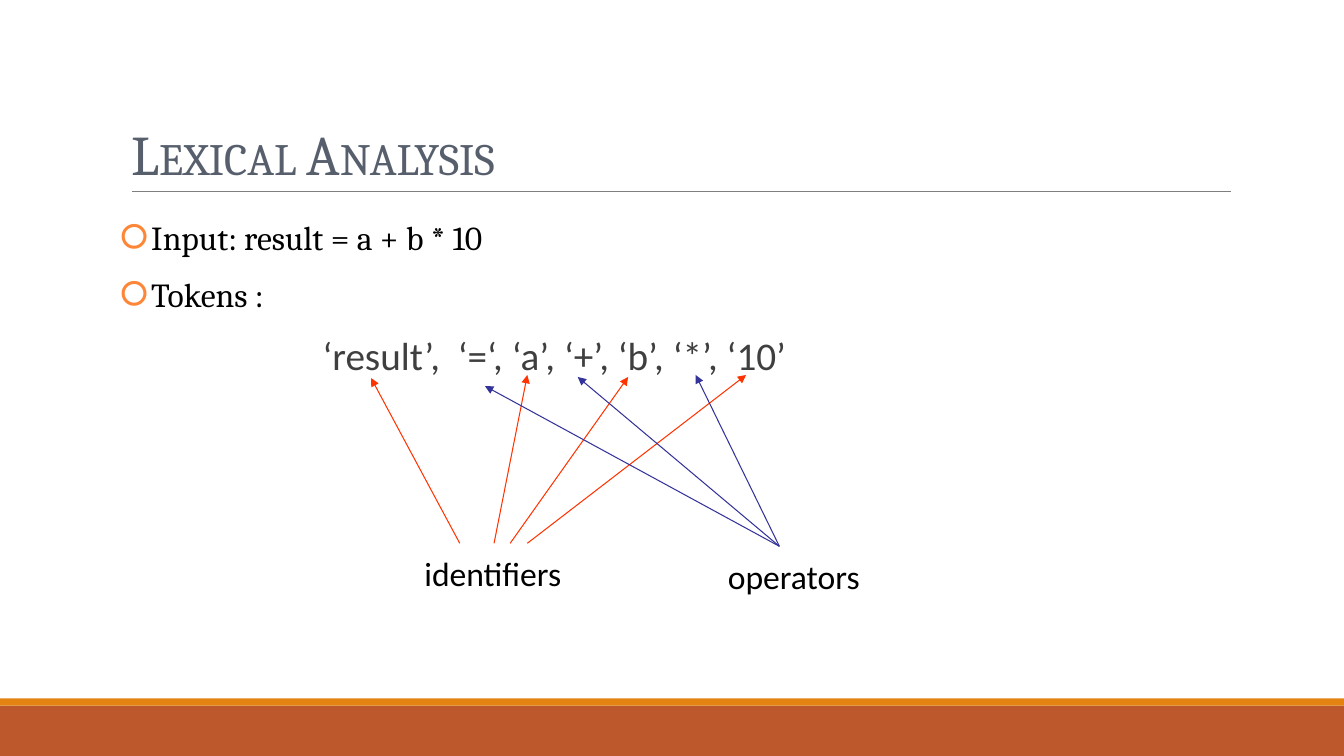
from lxml import etree
from pptx import Presentation
from pptx.dml.color import RGBColor
from pptx.enum.shapes import MSO_CONNECTOR, MSO_SHAPE
from pptx.enum.text import MSO_ANCHOR, MSO_AUTO_SIZE, PP_ALIGN
from pptx.oxml.ns import qn
from pptx.util import Inches, Pt

STRAIGHT = MSO_CONNECTOR.STRAIGHT
RECTANGLE = MSO_SHAPE.RECTANGLE
TOP, BOTTOM = MSO_ANCHOR.TOP, MSO_ANCHOR.BOTTOM
NO_FIT = MSO_AUTO_SIZE.NONE
LEFT = PP_ALIGN.LEFT

RED, BLUE = "FF3300", "333399"


def color(value):
    return RGBColor.from_string(value)


def apply(target, formats):
    for name, value in formats.items():
        setattr(target, name, value)


class LexicalSlide:
    heading = {"name": "Cambria", "size": Pt(40)}
    bullet = {"name": "Cambria", "size": Pt(24)}
    tokens = {"name": "Calibri", "size": Pt(28)}
    label = {"name": "Calibri", "size": Pt(24)}

    def __init__(self, deck):
        self.slide = deck.slides.add_slide(deck.slide_layouts[1])
        self.shapes = self.slide.shapes

    def place(self, shape, box):
        sides = ("left", "top", "width", "height")
        apply(shape, dict(zip(sides, map(Inches, box))))

    def frame(self, shape, anchor=TOP, side=0.1):
        frame = shape.text_frame
        apply(frame, {
            "word_wrap": True, "auto_size": NO_FIT, "vertical_anchor": anchor,
            "margin_left": Inches(side), "margin_right": Inches(side),
            "margin_top": Inches(0.05), "margin_bottom": Inches(0.05),
        })
        return frame

    def fill_text(self, paragraph, text, font, ink, spacing, before=0, margin=0, hanging=0):
        properties = paragraph._p.get_or_add_pPr()
        properties.set("marL", str(Inches(margin)))
        properties.set("indent", str(Inches(-hanging)))
        apply(paragraph, {
            "alignment": LEFT, "line_spacing": spacing,
            "space_before": Pt(before), "space_after": Pt(0),
        })
        run = paragraph.add_run()
        run.text = text
        apply(run.font, font)
        run.font.color.rgb = color(ink)
        return run

    def mark(self, paragraph, symbol=None, ink=None):
        properties = paragraph._p.get_or_add_pPr()
        if symbol is None:
            etree.SubElement(properties, qn("a:buNone"))
            return
        tint = etree.SubElement(properties, qn("a:buClr"))
        etree.SubElement(tint, qn("a:srgbClr"), val=ink)
        etree.SubElement(properties, qn("a:buChar"), char=symbol)

    def title(self, text, box):
        title = self.shapes.title
        self.place(title, box)
        paragraph = self.frame(title, BOTTOM).paragraphs[0]
        run = self.fill_text(paragraph, text, self.heading, "575F6D", 0.85)
        run.font._element.set("cap", "small")

    def body(self, bullets, token_list, box):
        body = self.slide.placeholders[1]
        self.place(body, box)
        frame = self.frame(body, side=0)
        for index, text in enumerate(bullets):
            paragraph = frame.add_paragraph() if index else frame.paragraphs[0]
            self.mark(paragraph, "🞆", "FE8637")
            self.fill_text(paragraph, text, self.bullet, "000000", 1.2,
                           before=6 if index else 0, margin=0.3, hanging=0.3)
        paragraph = frame.add_paragraph()
        self.mark(paragraph)
        self.fill_text(paragraph, token_list, self.tokens, "3F3F3F", 1.2, before=6, margin=2)

    def band(self, box, fill):
        band = self.shapes.add_shape(RECTANGLE, *map(Inches, box))
        band.shadow.inherit = False
        band.fill.solid()
        band.fill.fore_color.rgb = color(fill)
        band.line.fill.background()

    def line(self, start, end, ink, arrow=False):
        line = self.shapes.add_connector(STRAIGHT, *map(Inches, start + end))
        line.line.width = Pt(0.75)
        line.line.color.rgb = color(ink)
        if arrow:
            outline = line._element.spPr.find(qn("a:ln"))
            etree.SubElement(outline, qn("a:tailEnd"), type="triangle")
        etree.SubElement(line._element.spPr, qn("a:effectLst"))

    def caption(self, text, left, top):
        caption = self.shapes.add_textbox(*map(Inches, (left, top, 2.01, 0.43)))
        paragraph = self.frame(caption).paragraphs[0]
        self.fill_text(paragraph, text, self.label, "000000", 0.8, margin=0.4)


def main():
    deck = Presentation()
    apply(deck, {"slide_width": Inches(13.33), "slide_height": Inches(7.5)})
    page = LexicalSlide(deck)

    page.band((0, 7, 13.33, 0.5), "BD582C")
    page.band((0, 6.93, 13.33, 0.07), "E48312")
    page.line((1.31, 1.9), (12.21, 1.9), "7F7F7F")
    page.title("Lexical Analysis", (1.2, 0.31, 11, 1.59))
    page.body(("Input: result = a + b * 10", "Tokens :"),
              "‘result’,  ‘=‘, ‘a’, ‘+’, ‘b’, ‘*’, ‘10’", (1.2, 2.02, 11, 4.72))

    identifier_arrows = (
        (4.56, (3.68, 3.75)), (4.9, (5.23, 3.72)),
        (5.06, (6.23, 3.74)), (5.23, (7.4, 3.72)),
    )
    for start, token in identifier_arrows:
        page.line((start, 5.39), token, RED, arrow=True)
    for token in ((6.9, 3.72), (4.81, 3.83), (5.73, 3.74)):
        page.line((7.73, 5.42), token, BLUE, arrow=True)

    page.caption("operators", 6.72, 5.54)
    page.caption("identifiers", 3.71, 5.51)
    deck.save("out.pptx")


if __name__ == "__main__":
    main()
